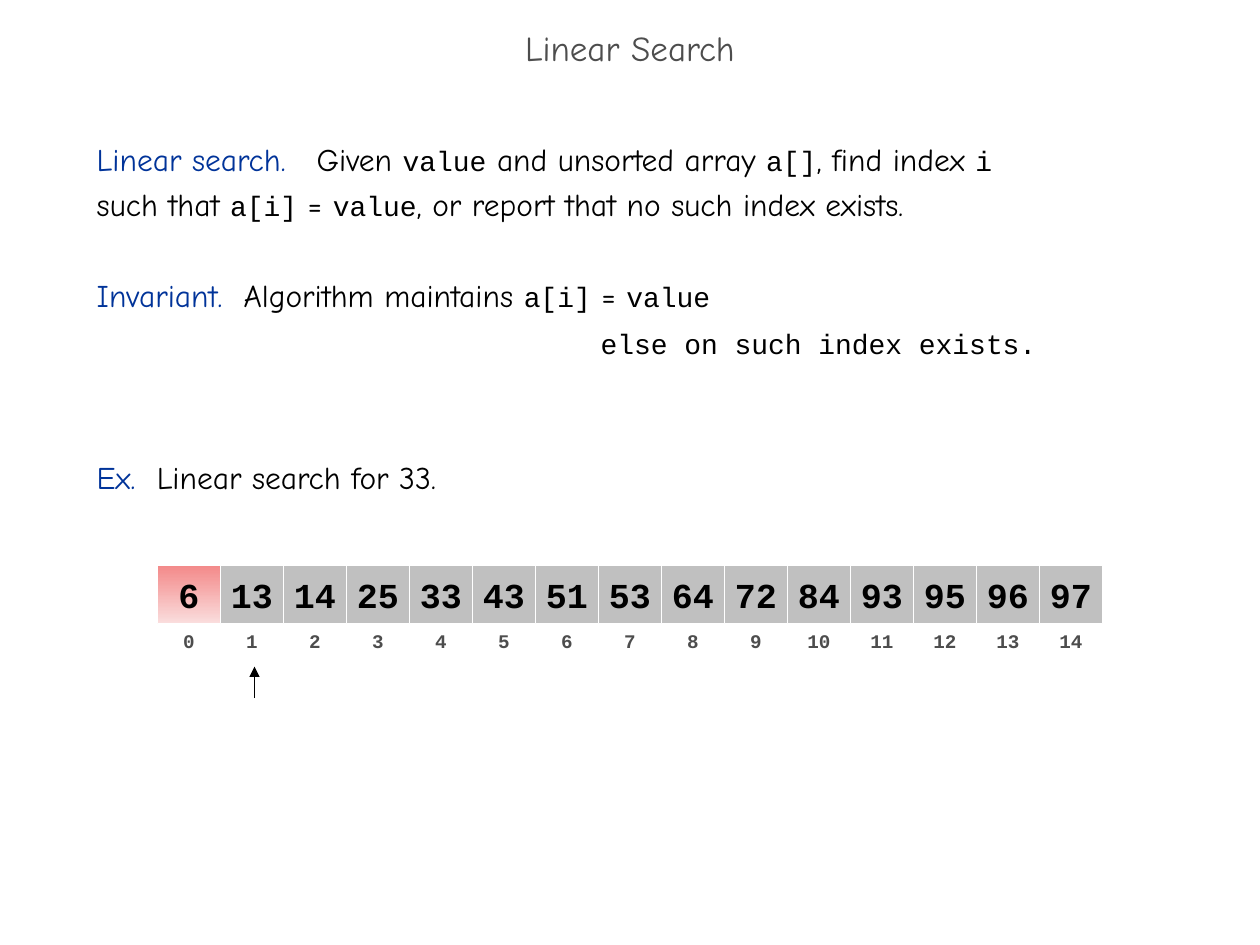
from dataclasses import dataclass

from lxml.etree import SubElement
from pptx import Presentation
from pptx.dml.color import RGBColor as RGB
from pptx.enum.shapes import MSO_CONNECTOR as CONN, MSO_SHAPE as SHAPE
from pptx.enum.text import MSO_ANCHOR as ANCHOR, PP_ALIGN as ALIGN
from pptx.oxml.ns import qn
from pptx.util import Pt


@dataclass(frozen=True)
class Theme:
    sans: str = "Comic Neue"
    mono: str = "Courier New"
    ink: RGB = RGB(0, 0, 0)
    muted: RGB = RGB(0x4D, 0x4D, 0x4D)
    accent: RGB = RGB(0, 0x33, 0x99)
    cell: RGB = RGB(0xC0, 0xC0, 0xC0)
    border: RGB = RGB(0xFF, 0xFF, 0xFF)
    visited: tuple = (RGB(0xF3, 0x8A, 0x8A), RGB(0xFA, 0xDD, 0xDD))
    title_size: float = 20
    body_size: float = 18
    code_size: float = 16
    value_size: float = 20
    index_size: float = 11
    line_pitch: float = 26


T = Theme()
VALUES = [6, 13, 14, 25, 33, 43, 51, 53, 64, 72, 84, 93, 95, 96, 97]
VISITED, CURRENT = 0, 1


def add_run(p, text, font, size, color, bold=False):
    r = p.add_run()
    r.text = text
    r.font.name, r.font.size, r.font.bold = font, Pt(size), bold
    r.font.color.rgb = color


def label(p, text):
    add_run(p, text + "\t", T.sans, T.body_size, T.accent)


def words(p, text):
    add_run(p, text, T.sans, T.body_size, T.ink)


def code(p, text):
    add_run(p, text, T.mono, T.code_size, T.ink)


def add_box(s, x, y, w, h):
    tf = s.shapes.add_textbox(Pt(x), Pt(y), Pt(w), Pt(h)).text_frame
    tf.word_wrap = True
    return tf


def format_line(p, before=0, tab=None, indent=None):
    """Set the line pitch, the gap above, a tab stop and a left indent."""
    p.line_spacing, p.space_before = Pt(T.line_pitch), Pt(before)
    pPr = p._p.get_or_add_pPr()
    if tab:
        SubElement(SubElement(pPr, qn("a:tabLst")), qn("a:tab"),
                   pos=str(Pt(tab)), algn="l")
    if indent:
        pPr.set("marL", str(Pt(indent)))
        pPr.set("indent", "0")


def add_title(s, x, y, w, h):
    tf = add_box(s, x, y, w, h)
    tf.vertical_anchor = ANCHOR.MIDDLE
    p = tf.paragraphs[0]
    p.alignment, p.line_spacing = ALIGN.CENTER, 0.7
    add_run(p, "Linear Search", T.sans, T.title_size, T.muted)


def add_body(s, x, y, w, h):
    tf = add_box(s, x, y, w, h)

    p = tf.paragraphs[0]
    format_line(p, tab=125.7)
    label(p, "Linear search.")
    words(p, "Given ")
    code(p, "value")
    words(p, " and unsorted array ")
    code(p, "a[]")
    words(p, ", find index ")
    code(p, "i")
    p.add_line_break()
    words(p, "such that ")
    code(p, "a[i]")
    words(p, " = ")
    code(p, "value")
    words(p, ", or report that no such index exists.")

    p = tf.add_paragraph()
    format_line(p, before=T.line_pitch, tab=84)
    label(p, "Invariant.")
    words(p, "Algorithm maintains ")
    code(p, "a[i]")
    words(p, " = ")
    code(p, "value")

    p = tf.add_paragraph()
    format_line(p, indent=288)
    code(p, "else on such index exists.")

    p = tf.add_paragraph()
    format_line(p, before=2 * T.line_pitch, tab=34.3)
    label(p, "Ex.")
    words(p, "Linear search for 33.")


def add_cell(s, x, y, w, h, text, size, color):
    sp = s.shapes.add_shape(SHAPE.RECTANGLE, Pt(x), Pt(y), Pt(w), Pt(h))
    sp.shadow.inherit = False
    sp.fill.background()
    sp.line.color.rgb, sp.line.width = T.border, Pt(0.75)
    tf = sp.text_frame
    tf.word_wrap, tf.vertical_anchor = False, ANCHOR.MIDDLE
    p = tf.paragraphs[0]
    p.alignment = ALIGN.CENTER
    add_run(p, str(text), T.mono, size, color, bold=True)
    return sp


def fill_value(sp, visited):
    if not visited:
        sp.fill.solid()
        sp.fill.fore_color.rgb = T.cell
        return
    sp.fill.gradient()
    sp.fill.gradient_angle = 270
    for stop, color in zip(sp.fill.gradient_stops, T.visited):
        stop.color.rgb = color


def add_pointer(s, x, bottom, top):
    line = s.shapes.add_connector(CONN.STRAIGHT, Pt(x), Pt(bottom), Pt(x), Pt(top))
    line.line.color.rgb, line.line.width = T.ink, Pt(0.75)
    SubElement(line.line._get_or_add_ln(), qn("a:tailEnd"), type="triangle")
    SubElement(line._element.spPr, qn("a:effectLst"))


def add_array(s, x, y, w, h):
    """Draw the values, their indices below, and a pointer to the current one."""
    step = w / len(VALUES)
    value_h, index_y, index_h, arrow_y = 33.1, y + 35.3, 15.1, y + 57.6
    for i in range(len(VALUES)):
        add_cell(s, x + i * step, index_y, step, index_h, i, T.index_size, T.muted)
    for i, value in enumerate(VALUES):
        sp = add_cell(s, x + i * step, y, step, value_h, value, T.value_size, T.ink)
        fill_value(sp, i == VISITED)
    add_pointer(s, x + (CURRENT + 0.54) * step, y + h, arrow_y)


def main():
    prs = Presentation()
    prs.slide_width, prs.slide_height = Pt(720), Pt(540)
    s = prs.slides.add_slide(prs.slide_layouts[6])
    add_array(s, 90, 323.3, 540, 75.6)
    add_title(s, 0, 12.2, 720, 36)
    add_body(s, 48.2, 72, 617.8, 426.2)
    prs.save("out.pptx")


if __name__ == "__main__":
    main()
